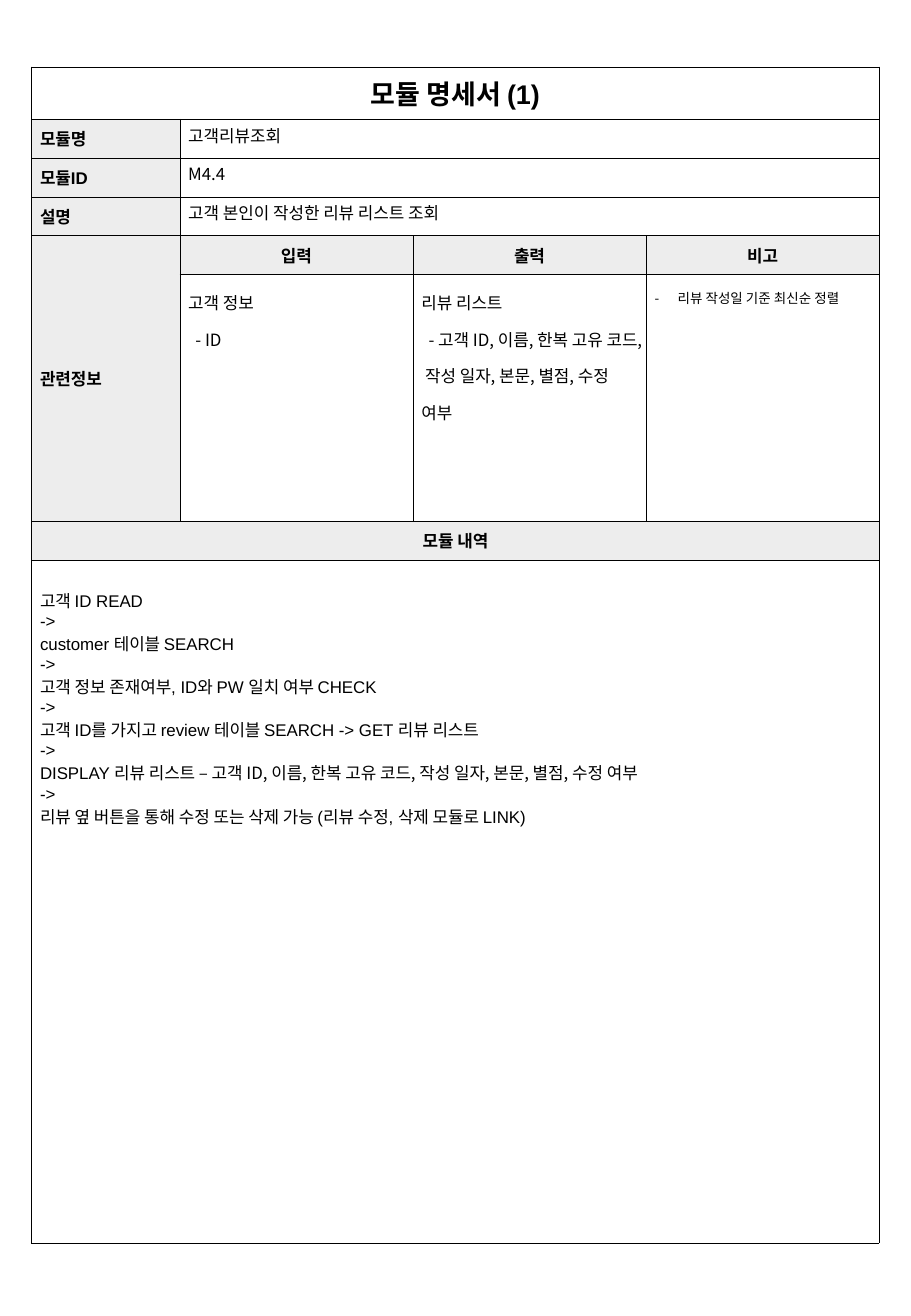
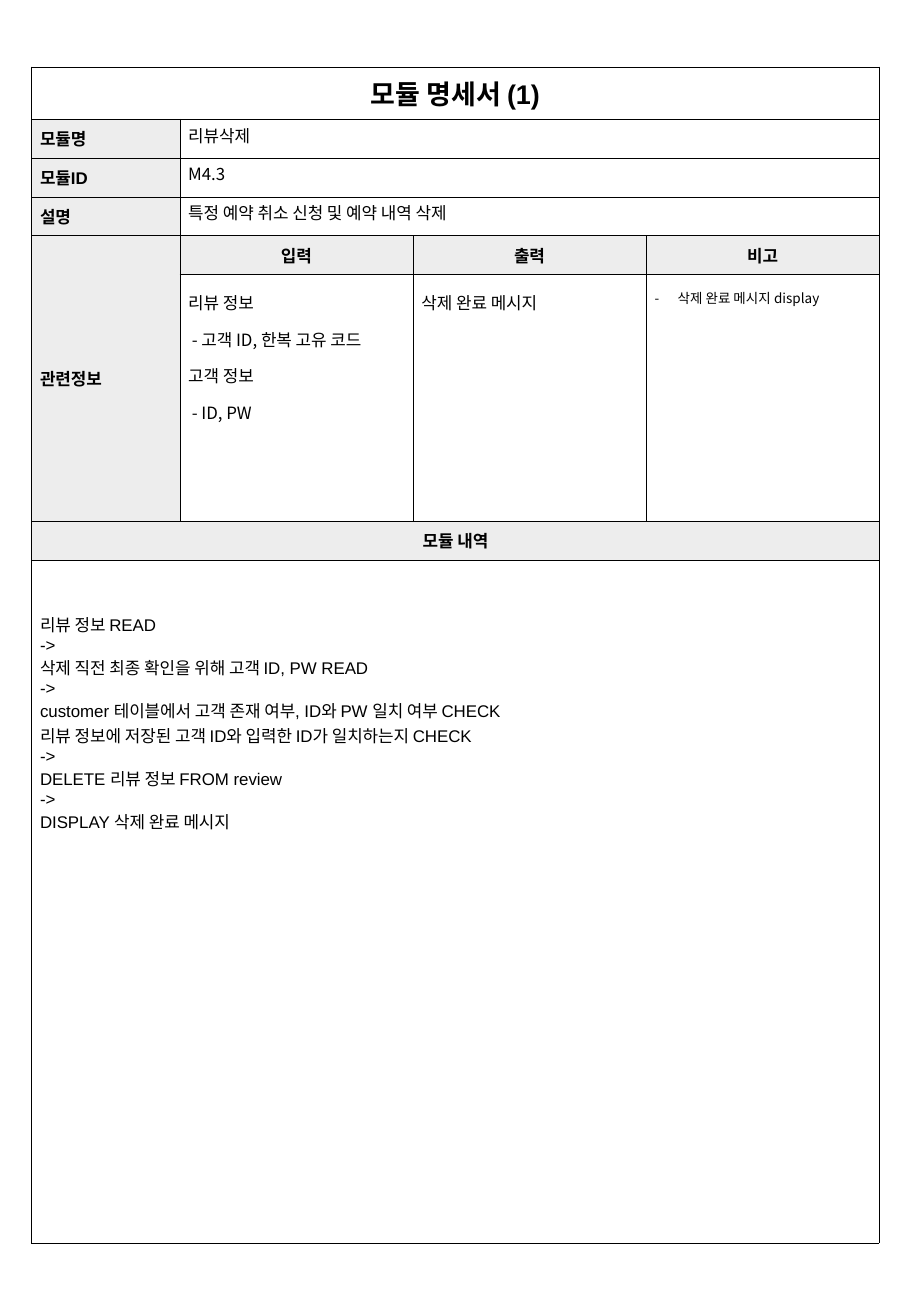
"""Build two module specification sheets, each one full-page table."""
from lxml import etree
from pptx import Presentation
from pptx.dml.color import RGBColor
from pptx.enum.text import MSO_ANCHOR as Anchor, PP_ALIGN as Align
from pptx.oxml.ns import qn
from pptx.util import Inches, Pt

LATIN, KOREAN = "Arial", "Noto Sans CJK KR"
BLACK, WHITE, GREY = "000000", "FFFFFF", "EDEDED"
COLUMNS = [1.22] + [1.92] * 3
ROWS = [0.43] + [0.32] * 4 + [2.03, 0.32, 5.62]
MERGES = [(0, 0, 0, 3), (1, 1, 1, 3), (2, 1, 2, 3), (3, 1, 3, 3),
          (4, 0, 5, 0), (6, 0, 6, 3), (7, 0, 7, 3)]
HEADINGS = [(0, 0, "모듈 명세서 (1)"), (1, 0, "모듈명"), (2, 0, "모듈ID"),
            (3, 0, "설명"), (4, 0, "관련정보"), (4, 1, "입력"), (4, 2, "출력"),
            (4, 3, "비고"), (6, 0, "모듈 내역")]
LEFT_HEADINGS = ["모듈명", "모듈ID", "설명", "관련정보"]

SHEETS = [
    {
        "facts": ["고객리뷰조회", "M4.4", "고객 본인이 작성한 리뷰 리스트 조회"],
        "input": ["고객 정보", "- ID"],
        "output": ["리뷰 리스트",
                   "- 고객 ID, 이름, 한복 고유 코드, 작성 일자, 본문, 별점, 수정 여부"],
        "note": "리뷰 작성일 기준 최신순 정렬",
        "indent": 0.06,
        "steps_top": 0.23,
        "steps": ["고객 ID READ", "->", "customer 테이블 SEARCH", "->",
                  "고객 정보 존재여부, ID와 PW 일치 여부 CHECK", "->",
                  "고객 ID를 가지고 review 테이블 SEARCH -> GET 리뷰 리스트", "->",
                  "DISPLAY 리뷰 리스트 – 고객 ID, 이름, 한복 고유 코드, 작성 일자, 본문, 별점, 수정 여부",
                  "->", "리뷰 옆 버튼을 통해 수정 또는 삭제 가능 (리뷰 수정, 삭제 모듈로 LINK)"],
    },
    {
        "facts": ["리뷰삭제", "M4.3", "특정 예약 취소 신청 및 예약 내역 삭제"],
        "input": ["리뷰 정보", "- 고객 ID, 한복 고유 코드", "고객 정보", "- ID, PW"],
        "output": ["삭제 완료 메시지"],
        "note": "삭제 완료 메시지 display",
        "indent": 0.03,
        "steps_top": 0.43,
        "steps": ["리뷰 정보 READ", "->", "삭제 직전 최종 확인을 위해 고객 ID, PW READ", "->",
                  "customer 테이블에서 고객 존재 여부, ID와 PW 일치 여부 CHECK",
                  "리뷰 정보에 저장된 고객 ID와 입력한 ID가 일치하는지 CHECK", "->",
                  "DELETE 리뷰 정보 FROM review", "->", "DISPLAY 삭제 완료 메시지"],
    },
]


def color(value):
    return RGBColor.from_string(value)


def write(cell, lines, font=KOREAN, size=10, bold=False, spacing=None):
    cell.text_frame.text = "\n".join(lines)
    for para in cell.text_frame.paragraphs:
        para.line_spacing = spacing
        head, dash, tail = para.text.partition("–")
        if dash:
            para.text = head
            para.add_run().text = dash + tail
        for number, span in enumerate(para.runs):
            span.font.name = KOREAN if number else font
            span.font.size = Pt(size)
            span.font.bold = bold
            span.font.color.rgb = color(BLACK)
            east_asian = etree.SubElement(span.font._element, qn("a:ea"))
            east_asian.set("typeface", KOREAN)


deck = Presentation()
deck.slide_width, deck.slide_height = Inches(7.5), Inches(10.83)

for sheet in SHEETS:
    page = deck.slides.add_slide(deck.slide_layouts[6])
    frame = page.shapes.add_table(len(ROWS), len(COLUMNS), Inches(0.26), Inches(0.55),
                                  Inches(sum(COLUMNS)), Inches(sum(ROWS)))
    table = frame.table
    table.first_row = table.horz_banding = False
    for column, width in zip(table.columns, COLUMNS):
        column.width = Inches(width)
    for row, height in zip(table.rows, ROWS):
        row.height = Inches(height)

    for cell in table.iter_cells():
        cell.margin_left = cell.margin_right = Inches(0.07)
        cell.margin_top = cell.margin_bottom = Inches(0.03)
        properties = cell._tc.get_or_add_tcPr()
        for side in ("a:lnL", "a:lnR", "a:lnT", "a:lnB"):
            border = etree.SubElement(properties, qn(side), w=str(Pt(0.25)))
            paint = etree.SubElement(border, qn("a:solidFill"))
            etree.SubElement(paint, qn("a:srgbClr"), val=BLACK)
        cell.fill.solid()
        cell.fill.fore_color.rgb = color(WHITE)
    for top, left, bottom, right in MERGES:
        table.cell(top, left).merge(table.cell(bottom, right))

    for row, column, heading in HEADINGS:
        cell = table.cell(row, column)
        write(cell, [heading], LATIN, 10 if row else 16, True)
        cell.vertical_anchor = Anchor.MIDDLE
        cell.fill.fore_color.rgb = color(GREY if row else WHITE)
        if heading not in LEFT_HEADINGS:
            cell.text_frame.paragraphs[0].alignment = Align.CENTER

    for row, fact in enumerate(sheet["facts"], 1):
        write(table.cell(row, 1), [fact])

    for column, name in enumerate(("input", "output"), 1):
        cell = table.cell(5, column)
        write(cell, sheet[name], spacing=1.5)
        for para in cell.text_frame.paragraphs:
            if para.text.startswith("-"):
                para._p.get_or_add_pPr().set("indent", str(Inches(sheet["indent"])))

    note = table.cell(5, 3)
    write(note, [sheet["note"]], size=8, spacing=1.5)
    bullet = note.text_frame.paragraphs[0]._p.get_or_add_pPr()
    bullet.set("marL", str(Inches(0.19)))
    bullet.set("indent", str(Inches(-0.19)))
    etree.SubElement(bullet, qn("a:buFont"), typeface=KOREAN)
    etree.SubElement(bullet, qn("a:buChar"), char="-")

    steps = table.cell(7, 0)
    write(steps, sheet["steps"], LATIN)
    steps.margin_top = Inches(sheet["steps_top"])

deck.save("out.pptx")
